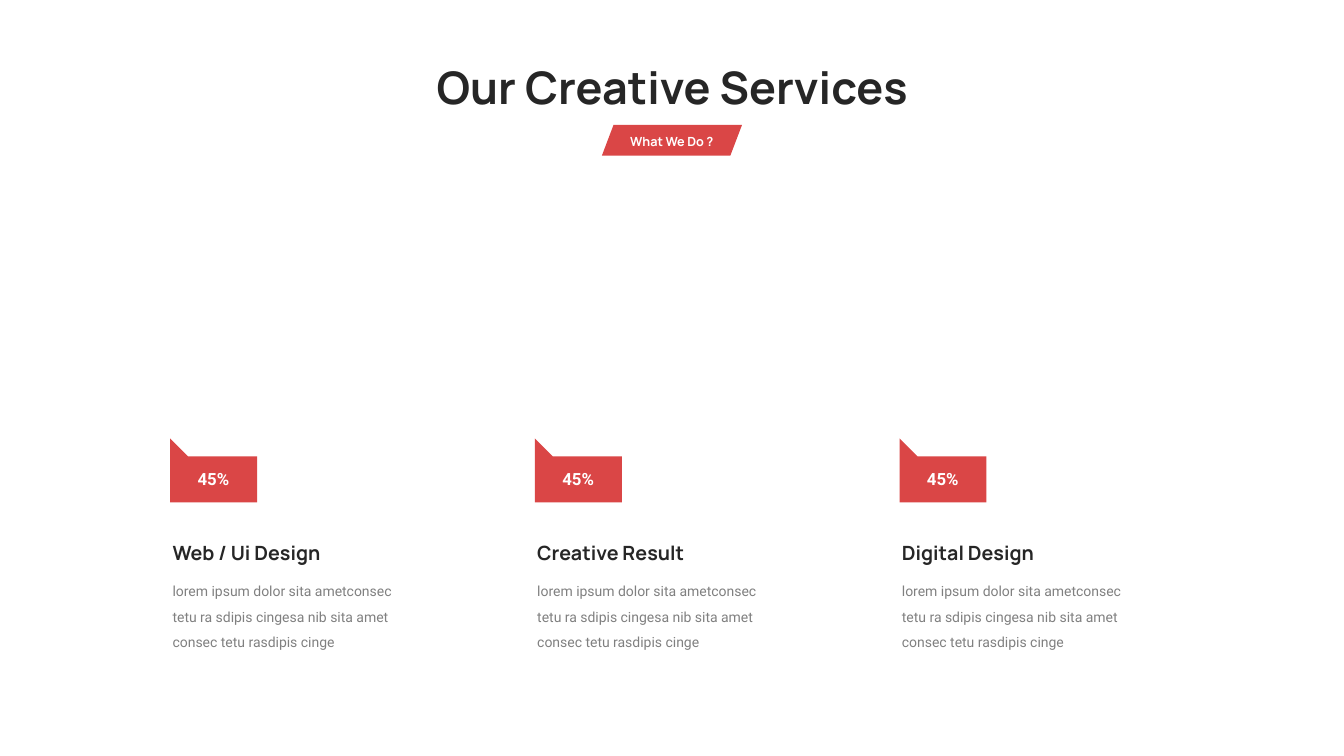
from pptx import Presentation
from pptx.dml.color import RGBColor
from pptx.enum.shapes import MSO_SHAPE
from pptx.enum.text import MSO_ANCHOR, MSO_AUTO_SIZE, PP_ALIGN
from pptx.util import Cm, Pt

RED, DARK, GREY, WHITE = "DA4646", "262626", "808080", "FFFFFF"
HEADING_FONT, BODY_FONT = "Manrope", "Roboto"
SERVICES = [
    ("Web / Ui Design", "45%"),
    ("Creative Result", "45%"),
    ("Digital Design", "45%"),
]
DESCRIPTION = ("lorem ipsum dolor sita ametconsec tetu ra sdipis cingesa nib "
               "sita amet consec tetu rasdipis cinge")
FIRST_LEFT, COLUMN_PITCH = 4.29, 9.19
FLAG_TOP = 11.05
FLAG_OUTLINE = [(0, 0), (0.45, 0.45), (2.19, 0.45), (2.19, 1.61), (0, 1.61)]


def color(value):
    return RGBColor.from_string(value)


def place(shape, left, top, width, height):
    shape.left, shape.top = Cm(left), Cm(top)
    shape.width, shape.height = Cm(width), Cm(height)


def fill_plain(shape, fill):
    shape.shadow.inherit = False
    shape.fill.solid()
    shape.fill.fore_color.rgb = color(fill)
    shape.line.fill.background()


def write(shape, text, size, font_name, text_color, bold=True,
          align=PP_ALIGN.LEFT, spacing=1.0):
    frame = shape.text_frame
    frame.word_wrap = True
    frame.auto_size = MSO_AUTO_SIZE.NONE
    frame.vertical_anchor = MSO_ANCHOR.TOP
    frame.text = text
    paragraph = frame.paragraphs[0]
    paragraph.alignment = align
    paragraph.line_spacing = spacing
    font = paragraph.font
    font.name, font.size, font.bold = font_name, Pt(size), bold
    font.color.rgb = color(text_color)


def add_text(slide, box, *args, **options):
    shape = slide.shapes.add_textbox(*(Cm(length) for length in box))
    write(shape, *args, **options)


def add_title(slide):
    title = slide.shapes.title
    place(title, 9.58, 1.37, 14.73, 1.63)
    write(title, "Our Creative Services", 32, HEADING_FONT, DARK,
          align=PP_ALIGN.CENTER)


def add_subtitle_badge(slide):
    badge = slide.shapes.add_shape(
        MSO_SHAPE.PARALLELOGRAM, Cm(15.17), Cm(3.15), Cm(3.53), Cm(0.77))
    badge.adjustments[0] = 0.38
    fill_plain(badge, RED)
    add_text(slide, (15.47, 3.25, 2.92, 0.64), "What We Do ?", 9,
             HEADING_FONT, WHITE, align=PP_ALIGN.CENTER)


def add_flag(slide, left, share):
    """Red label with a pointed top left corner."""
    points = [(Cm(left + x), Cm(FLAG_TOP + y)) for x, y in FLAG_OUTLINE]
    builder = slide.shapes.build_freeform(*points[0])
    builder.add_line_segments(points[1:], close=True)
    fill_plain(builder.convert_to_shape(), RED)
    add_text(slide, (left + 0.25, 11.68, 1.68, 0.76), share, 12,
             BODY_FONT, WHITE, align=PP_ALIGN.CENTER)


def add_service(slide, left, name, share):
    add_flag(slide, left, share)
    text_left = left - 0.19
    add_text(slide, (text_left, 13.51, 5.21, 0.86), name, 14,
             HEADING_FONT, DARK)
    add_text(slide, (text_left, 14.35, 6.55, 2.18), DESCRIPTION, 10,
             BODY_FONT, GREY, bold=False, spacing=1.5)


def main():
    presentation = Presentation()
    presentation.slide_width = Cm(33.87)
    presentation.slide_height = Cm(19.05)
    slide = presentation.slides.add_slide(presentation.slide_layouts[5])
    add_title(slide)
    add_subtitle_badge(slide)
    for column, (name, share) in enumerate(SERVICES):
        add_service(slide, FIRST_LEFT + column * COLUMN_PITCH, name, share)
    presentation.save("out.pptx")


if __name__ == "__main__":
    main()
